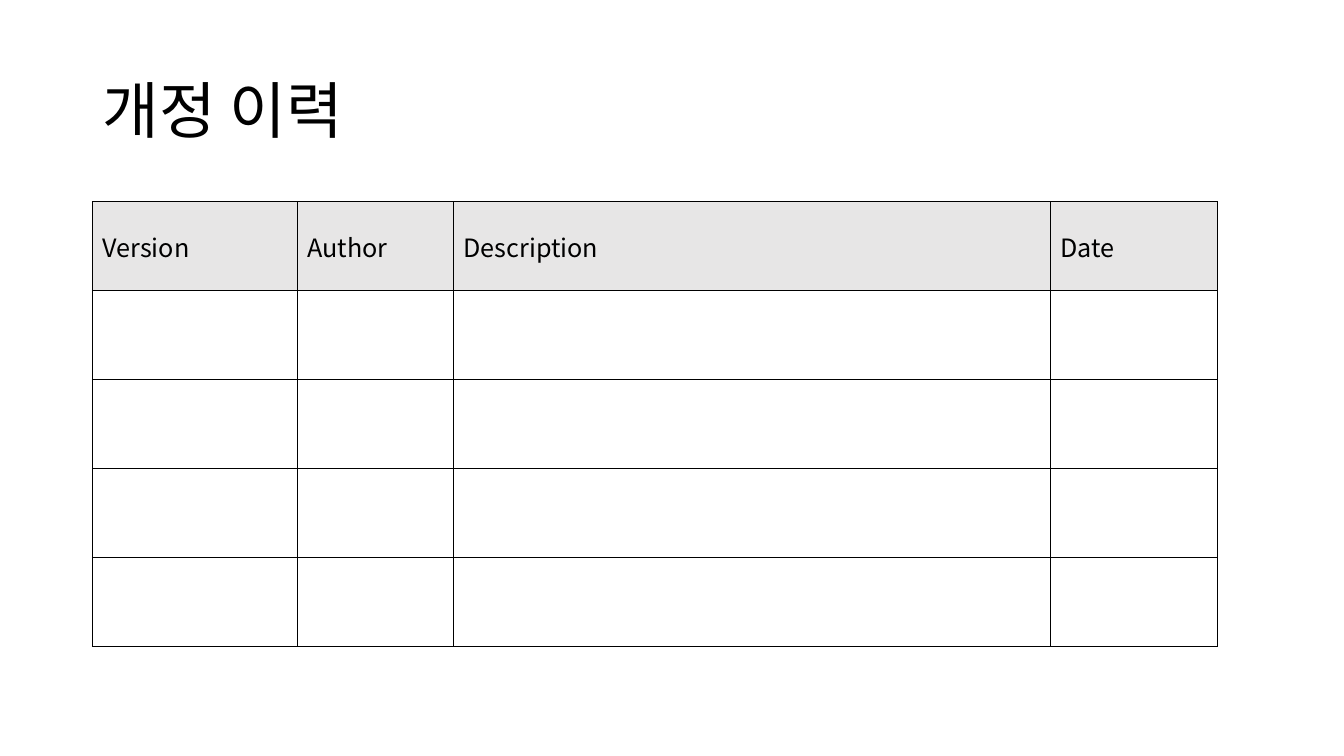
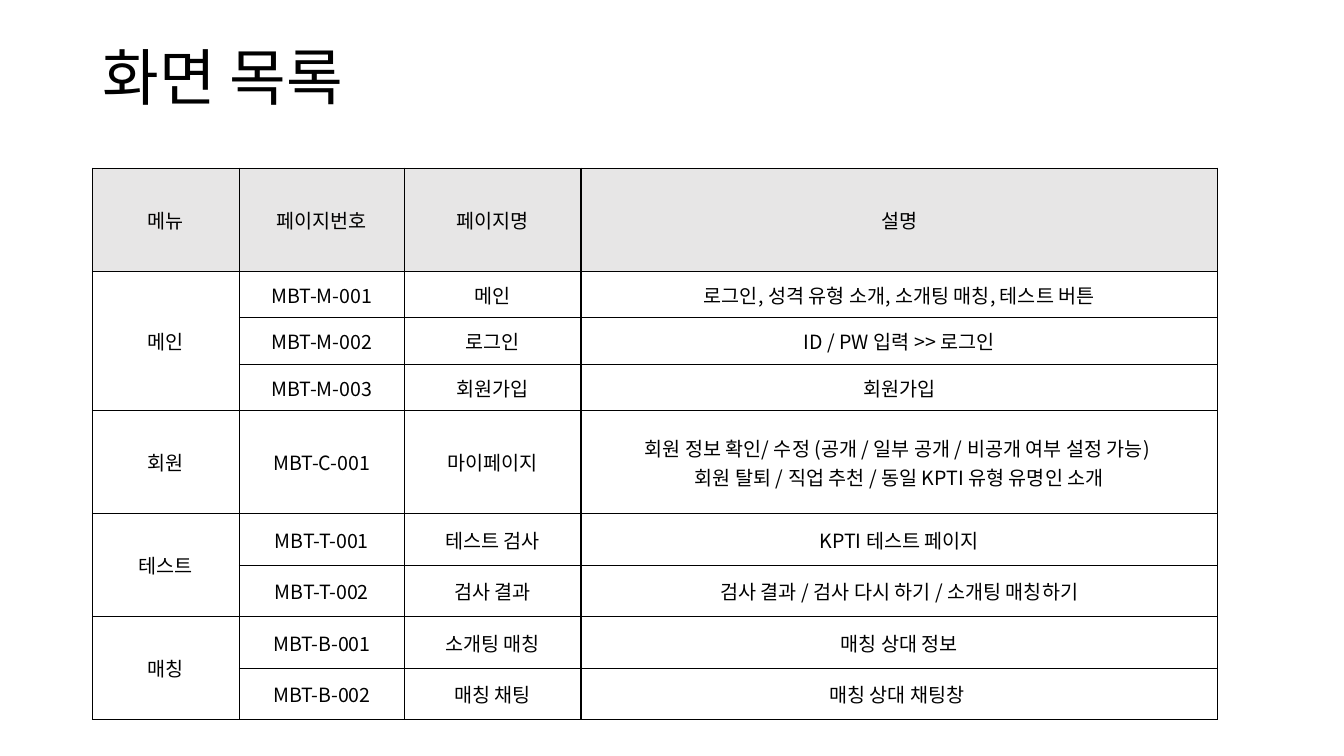
from itertools import accumulate

from lxml import etree
from pptx import Presentation
from pptx.dml import color
from pptx.enum import text
from pptx.oxml import ns
from pptx.util import Pt

FONT = "Noto Sans CJK KR"
BLACK, HEADER_GRAY, WHITE = "000000", "E7E6E6", "FFFFFF"
LEFT, TITLE_WIDTH, TITLE_HEIGHT = 66, 828, 104.4
TITLE_TO_TABLE = 115.2

REVISION_COLUMNS = [("Version", 146.3), ("Author", 111.6), ("Description", 426.3), ("Date", 119.6)]
REVISION_ROWS = 4
REVISION_ROW_HEIGHT = 63.6

SCREEN_COLUMNS = [("메뉴", 105), ("페이지번호", 118), ("페이지명", 126), ("설명", 454.8)]
SCREEN_HEADER_HEIGHT = 73.6
SCREEN_MENUS = [
    ("메인", 33.2, [
        ("MBT-M-001", "메인", "로그인, 성격 유형 소개, 소개팅 매칭, 테스트 버튼"),
        ("MBT-M-002", "로그인", "ID / PW 입력 >> 로그인"),
        ("MBT-M-003", "회원가입", "회원가입"),
    ]),
    ("회원", 73.6, [
        ("MBT-C-001", "마이페이지",
         "회원 정보 확인/ 수정 (공개 / 일부 공개 / 비공개 여부 설정 가능) \n"
         "회원 탈퇴 / 직업 추천 / 동일 KPTI 유형 유명인 소개"),
    ]),
    ("테스트", 36.8, [
        ("MBT-T-001", "테스트 검사", "KPTI 테스트 페이지"),
        ("MBT-T-002", "검사 결과", "검사 결과 / 검사 다시 하기 / 소개팅 매칭하기"),
    ]),
    ("매칭", 36.8, [
        ("MBT-B-001", "소개팅 매칭", "매칭 상대 정보"),
        ("MBT-B-002", "매칭 채팅", "매칭 상대 채팅창 "),
    ]),
]


def rgb(value):
    return color.RGBColor.from_string(value)


def write(frame, content, size, align=text.PP_ALIGN.LEFT, spacing=1.0):
    for index, line in enumerate(content.split("\n")):
        paragraph = frame.add_paragraph() if index else frame.paragraphs[0]
        paragraph.alignment = align
        paragraph.line_spacing = spacing
        run = paragraph.add_run()
        run.text = line
        run.font.size = Pt(size)
        run.font.name = FONT
        run.font.color.rgb = rgb(BLACK)
        east_asian = etree.SubElement(run.font._element, ns.qn("a:ea"))
        east_asian.set("typeface", FONT)


def add_titled_slide(deck, heading, top):
    slide = deck.slides.add_slide(deck.slide_layouts[5])
    title = slide.shapes.title
    title.left, title.top = Pt(LEFT), Pt(top)
    title.width, title.height = Pt(TITLE_WIDTH), Pt(TITLE_HEIGHT)
    title.text_frame.vertical_anchor = text.MSO_ANCHOR.MIDDLE
    title.text_frame.auto_size = text.MSO_AUTO_SIZE.NONE
    write(title.text_frame, heading, 44, spacing=0.9)
    return slide


def style_cell(cell, fill):
    properties = cell._tc.get_or_add_tcPr()
    for side in ("lnL", "lnR", "lnT", "lnB"):
        border = etree.SubElement(properties, ns.qn(f"a:{side}"), w=str(Pt(1)))
        line_fill = etree.SubElement(border, ns.qn("a:solidFill"))
        etree.SubElement(line_fill, ns.qn("a:srgbClr"), val=BLACK)
    cell.fill.solid()
    cell.fill.fore_color.rgb = rgb(fill)
    cell.vertical_anchor = text.MSO_ANCHOR.MIDDLE


def add_grid(slide, top, columns, heights, rows, size, align):
    widths = [width for _, width in columns]
    grid = slide.shapes.add_table(
        len(heights), len(columns), Pt(LEFT), Pt(top), Pt(sum(widths)), Pt(sum(heights))
    ).table
    for column, width in zip(grid.columns, widths):
        column.width = Pt(width)
    for row, height in zip(grid.rows, heights):
        row.height = Pt(height)
    for r, row in enumerate([[label for label, _ in columns], *rows]):
        for c, content in enumerate(row):
            cell = grid.cell(r, c)
            style_cell(cell, WHITE if r else HEADER_GRAY)
            if content:
                write(cell.text_frame, content, size, align)
    return grid


def build_revisions(deck):
    top = 28.8
    slide = add_titled_slide(deck, "개정 이력", top)
    rows = [[""] * len(REVISION_COLUMNS)] * REVISION_ROWS
    heights = [REVISION_ROW_HEIGHT] * (REVISION_ROWS + 1)
    add_grid(slide, top + TITLE_TO_TABLE, REVISION_COLUMNS, heights, rows, 18, text.PP_ALIGN.LEFT)


def build_screens(deck):
    top = 5
    slide = add_titled_slide(deck, "화면 목록", top)
    rows, heights = [], [SCREEN_HEADER_HEIGHT]
    for menu, height, pages in SCREEN_MENUS:
        for index, page in enumerate(pages):
            rows.append(["" if index else menu, *page])
            heights.append(height)
    grid = add_grid(slide, top + TITLE_TO_TABLE, SCREEN_COLUMNS, heights, rows, 14,
                    text.PP_ALIGN.CENTER)
    page_counts = [len(pages) for _, _, pages in SCREEN_MENUS]
    for last, count in zip(accumulate(page_counts), page_counts):
        if count > 1:
            grid.cell(last - count + 1, 0).merge(grid.cell(last, 0))


def main():
    deck = Presentation()
    deck.slide_width, deck.slide_height = Pt(960), Pt(540)
    build_revisions(deck)
    build_screens(deck)
    deck.save("out.pptx")


if __name__ == "__main__":
    main()
